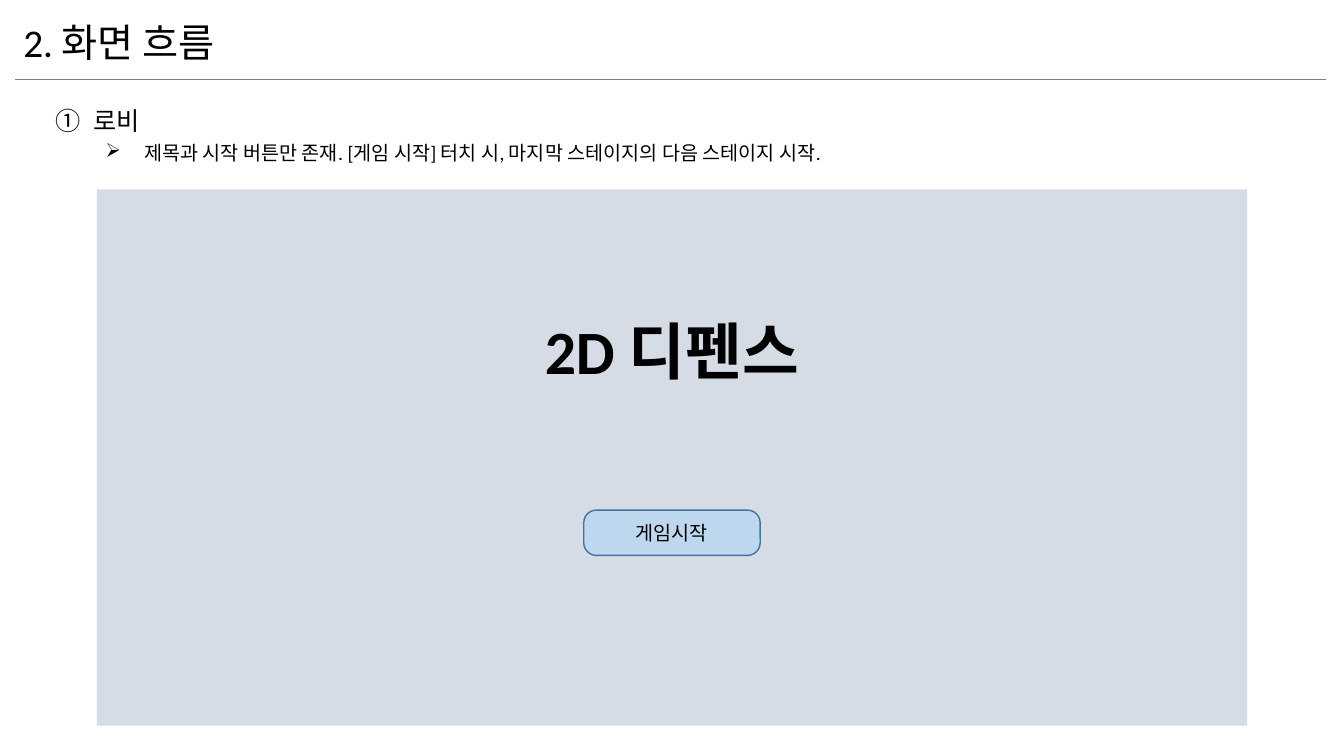
from lxml.etree import SubElement
from pptx import Presentation
from pptx.dml.color import RGBColor
from pptx.enum.shapes import MSO_CONNECTOR, MSO_SHAPE
from pptx.enum.text import MSO_ANCHOR, MSO_AUTO_SIZE, PP_ALIGN
from pptx.oxml.ns import qn
from pptx.util import Inches, Pt

SLIDE_WIDTH, SLIDE_HEIGHT = Inches(13.33), Inches(7.5)
FONT = "Calibri"
BLACK = RGBColor(0x00, 0x00, 0x00)
RULE_GRAY = RGBColor(0x80, 0x80, 0x80)
SCREEN_GRAY = RGBColor(0xD6, 0xDC, 0xE5)
BUTTON_BLUE = RGBColor(0xBD, 0xD7, 0xEE)
BUTTON_EDGE = RGBColor(0x43, 0x73, 0x9E)


def across(percent):
    return int(SLIDE_WIDTH * percent / 100)


def down(percent):
    return int(SLIDE_HEIGHT * percent / 100)


def area(left, top, width, height):
    """Turn percentages of the slide into a left, top, width, height box."""
    return across(left), down(top), across(width), down(height)


def centred(top, width, height):
    """Box in the horizontal middle of the slide, in percentages."""
    return area((100 - width) / 2, top, width, height)


def format_runs(paragraph, size, bold=False):
    for run in paragraph.runs:
        run.font.name = FONT
        run.font.size = Pt(size)
        run.font.bold = bold
        run.font.color.rgb = BLACK


def set_centred_text(shape, text, size, bold=False):
    frame = shape.text_frame
    frame.word_wrap = True
    frame.vertical_anchor = MSO_ANCHOR.MIDDLE
    frame.text = text
    frame.paragraphs[0].alignment = PP_ALIGN.CENTER
    format_runs(frame.paragraphs[0], size, bold)


def add_heading(slide, text):
    heading = slide.shapes.title
    heading.left, heading.top, heading.width, heading.height = area(0.98, 1.73, 79.37, 7.6)
    frame = heading.text_frame
    frame.text = text
    frame.word_wrap = True
    frame.auto_size = MSO_AUTO_SIZE.NONE
    frame.vertical_anchor = MSO_ANCHOR.TOP
    frame.paragraphs[0].alignment = PP_ALIGN.LEFT
    format_runs(frame.paragraphs[0], 28)


def add_rule(slide, left, right, top):
    rule = slide.shapes.add_connector(
        MSO_CONNECTOR.STRAIGHT, across(left), down(top), across(right), down(top))
    rule.line.color.rgb = RULE_GRAY
    rule.line.width = Pt(0.5)
    SubElement(rule._element.spPr, qn("a:effectLst"))


def add_panel(slide, preset, box, fill, edge=None):
    panel = slide.shapes.add_shape(preset, *box)
    panel.shadow.inherit = False
    panel.fill.solid()
    panel.fill.fore_color.rgb = fill
    if edge is None:
        panel.line.fill.background()
    else:
        panel.line.color.rgb = edge
        panel.line.width = Pt(1)
    return panel


def add_outline(slide, box, items):
    """Add a list of (text, level, indent, size, bullet tag, bullet attributes)."""
    frame = slide.shapes.add_textbox(*box).text_frame
    frame.word_wrap = True
    for index, (text, level, indent, size, tag, attributes) in enumerate(items):
        paragraph = frame.add_paragraph() if index else frame.paragraphs[0]
        paragraph.text = text
        paragraph.level = level
        paragraph.line_spacing = 1.25
        properties = paragraph._p.get_or_add_pPr()
        properties.set("marL", str(Inches(indent)))
        properties.set("indent", str(Inches(-0.38)))
        SubElement(properties, qn(tag), attributes)
        format_runs(paragraph, size)


def add_lobby_screen(slide):
    add_panel(slide, MSO_SHAPE.RECTANGLE, centred(25.07, 85.6, 70.93), SCREEN_GRAY)
    game_title = slide.shapes.add_textbox(*centred(41.6, 43.96, 9.33))
    set_centred_text(game_title, "2D 디펜스", 44, bold=True)
    start_button = add_panel(slide, MSO_SHAPE.ROUNDED_RECTANGLE,
                             centred(67.47, 13.13, 6), BUTTON_BLUE, BUTTON_EDGE)
    start_button.adjustments[0] = 0.28
    set_centred_text(start_button, "게임시작", 14)


def main():
    presentation = Presentation()
    presentation.slide_width = SLIDE_WIDTH
    presentation.slide_height = SLIDE_HEIGHT
    slide = presentation.slides.add_slide(presentation.slide_layouts.get_by_name("Title Only"))
    add_heading(slide, "2. 화면 흐름")
    add_rule(slide, 1.13, 98.65, 10.53)
    add_outline(slide, area(3.38, 12.27, 92.5, 10), [
        ("로비", 0, 0.38, 18, "a:buAutoNum", {"type": "circleNumDbPlain"}),
        ("제목과 시작 버튼만 존재. [게임 시작] 터치 시, 마지막 스테이지의 다음 스테이지 시작.",
         1, 0.88, 14, "a:buChar", {"char": "➢"}),
    ])
    add_lobby_screen(slide)
    presentation.save("out.pptx")


if __name__ == "__main__":
    main()
